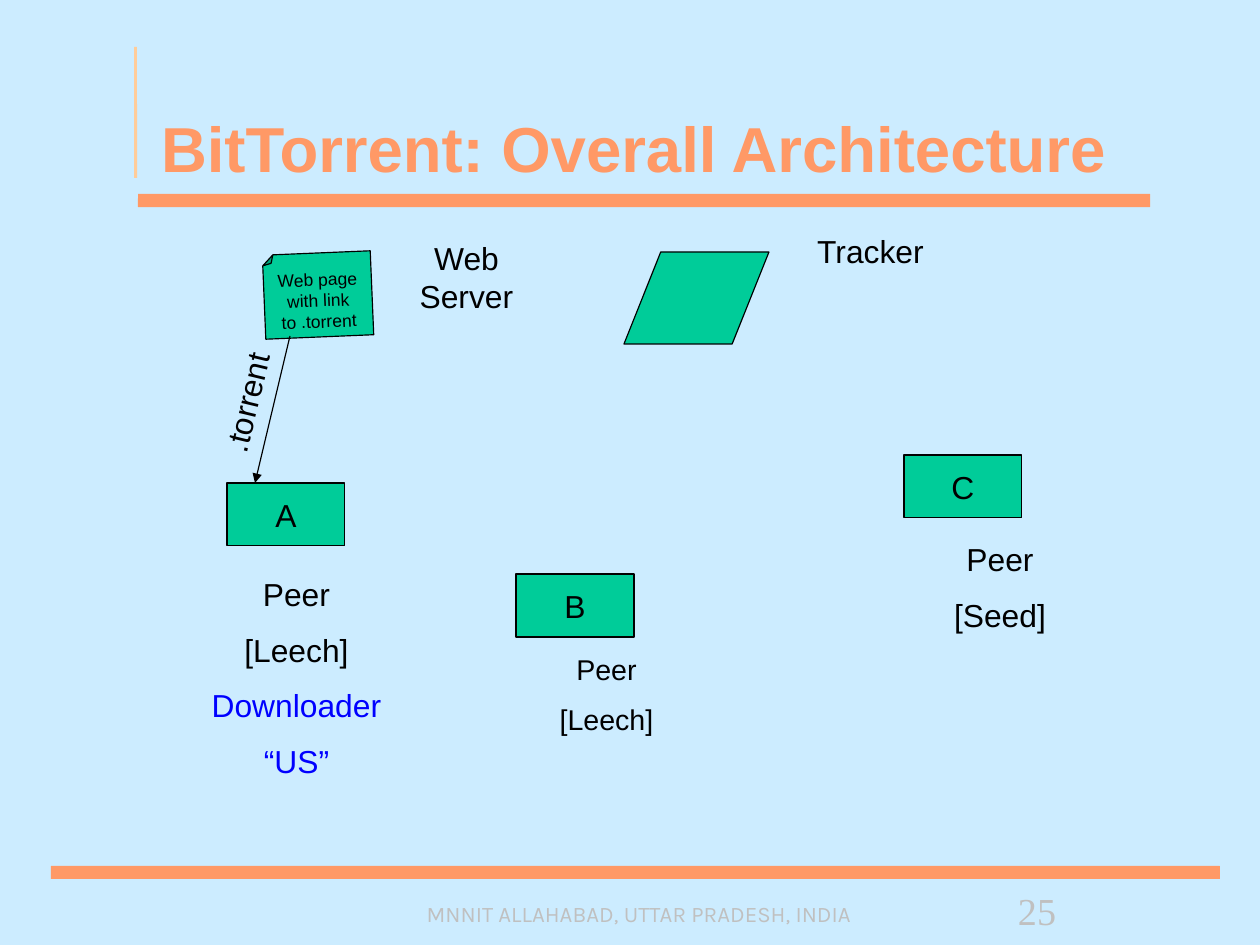
"""Build the BitTorrent overall architecture slide."""
from lxml import etree
from pptx import Presentation
from pptx import util as u
from pptx.dml.color import RGBColor
from pptx.enum import shapes, text
from pptx.oxml import ns

THEME = {
    "back": "CCECFF", "bar": "FF9966", "rule": "FFCC99", "node": "00CC99",
    "ink": "000000", "us": "0000FF", "muted": "C0C0C0",
    "font": "Arial", "footer_font": "Karla", "number_font": "Times New Roman",
    "title": 40, "label": 20, "small_label": 18, "page": 11, "footer": 14, "number": 24,
}
BARS = [
    ((51, 866, 1169, 13), "bar", 0.02),
    ((138, 194, 1012, 13), "bar", 0.02),
    ((134, 47, 3, 131), "rule", 0.05),
]
TITLE = ("BitTorrent: Overall Architecture", (161, 38, 1048, 151))
FOOTER = ("MNNIT ALLAHABAD, UTTAR PRADESH, INDIA", (135, 897, 1008, 36))
NUMBER = ("25", (1018, 889, 45, 45))
WEB_PAGE = (["Web page", "with link", "to .torrent"], (264, 253, 108, 84), 177.6)
TRACKER = (624, 252, 145, 92)
PEER_SIZE = (118, 63)
PEERS = [("A", (227, 483)), ("B", (516, 574)), ("C", (904, 455))]
LABELS = [
    ([("Peer", "ink"), ("[Leech]", "ink"), ("Downloader", "us"), ("“US”", "us")],
     (182, 568, 229, 222), "label", 0),
    ([("Peer", "ink"), ("[Seed]", "ink")], (913, 533, 174, 107), "label", 0),
    ([("Peer", "ink"), ("[Leech]", "ink")], (516, 645, 181, 98), "small_label", 0),
    ([("Tracker", "ink")], (778, 225, 185, 50), "label", 0),
    ([("Web Server", "ink")], (381, 232, 171, 89), "label", 0),
    ([(".torrent", "ink")], (165, 377, 160, 50), "label", 283.4),
]
DOWNLOAD = ((290, 336), (255, 483))
PX = 8000
INSET = (13, 7)
SPACE_RATIO = 0.55


def px(values):
    return [u.Emu(value * PX) for value in values]


def color(key):
    return RGBColor.from_string(THEME[key])


def write(shape, lines, size, font="font", align=text.PP_ALIGN.CENTER,
          anchor=text.MSO_ANCHOR.TOP, inset=INSET, wrap=True, gap=0, leading=None, bold=False):
    frame = shape.text_frame
    frame.word_wrap = wrap
    frame.vertical_anchor = anchor
    frame.margin_left, frame.margin_top = px(inset)
    frame.margin_right, frame.margin_bottom = px(inset)
    for index, (words, ink) in enumerate(lines):
        paragraph = frame.add_paragraph() if index else frame.paragraphs[0]
        paragraph.alignment = align
        if index and gap:
            paragraph.space_before = u.Pt(gap)
        if leading:
            paragraph.line_spacing = u.Pt(leading)
        run = paragraph.add_run()
        run.text = words
        run.font.name = THEME[font]
        run.font.size = u.Pt(THEME[size])
        run.font.bold = bold
        run.font.color.rgb = color(ink)


def draw(slide, kind, box, fill, outlined=True):
    shape = slide.shapes.add_shape(kind, *px(box))
    shape.shadow.inherit = False
    shape.fill.solid()
    shape.fill.fore_color.rgb = color(fill)
    if outlined:
        shape.line.color.rgb = color("ink")
        shape.line.width = u.Pt(0.75)
    else:
        shape.line.fill.background()
    return shape


def add_text(slide, box, lines, size, **options):
    label = slide.shapes.add_textbox(*px(box))
    write(label, lines, size, **options)
    return label


def add_arrow(slide, start, end):
    arrow = slide.shapes.add_connector(shapes.MSO_CONNECTOR.STRAIGHT, *px(start + end))
    arrow.line.color.rgb = color("ink")
    arrow.line.width = u.Pt(0.75)
    outline = arrow._element.spPr.find(ns.qn("a:ln"))
    etree.SubElement(outline, ns.qn("a:tailEnd"), type="triangle")
    etree.SubElement(arrow._element.spPr, ns.qn("a:effectLst"))


def main():
    deck = Presentation()
    deck.slide_width, deck.slide_height = px((1260, 945))
    slide = deck.slides.add_slide(deck.slide_layouts[6])
    slide.background.fill.solid()
    slide.background.fill.fore_color.rgb = color("back")
    middle, left = text.MSO_ANCHOR.MIDDLE, text.PP_ALIGN.LEFT

    for box, fill, radius in BARS:
        bar = draw(slide, shapes.MSO_SHAPE.ROUNDED_RECTANGLE, box, fill, outlined=False)
        bar.adjustments[0] = radius

    footer, box = FOOTER
    add_text(slide, box, [(footer, "muted")], "footer", font="footer_font",
             anchor=text.MSO_ANCHOR.BOTTOM, inset=(11, 6), leading=15.2)
    number, box = NUMBER
    add_text(slide, box, [(number, "muted")], "number", font="number_font",
             align=left, inset=(0, 0), wrap=False, leading=27.8)
    title, box = TITLE
    add_text(slide, box, [(title, "bar")], "title", align=left, anchor=middle,
             inset=(0, 0), leading=90, bold=True)

    lines, box, angle = WEB_PAGE
    web_page = draw(slide, shapes.MSO_SHAPE.FOLDED_CORNER, box, "node")
    fold = web_page._element.spPr.find(ns.qn("a:prstGeom"))
    fold.set("prst", "foldedCorner")
    for guides in fold.findall(ns.qn("a:avLst")):
        fold.remove(guides)
    guides = etree.SubElement(fold, ns.qn("a:avLst"))
    etree.SubElement(guides, ns.qn("a:gd"), name="adj", fmla="val 12500")
    web_page.rotation = angle
    write(web_page, [(line, "ink") for line in lines], "page", anchor=middle, wrap=False)
    web_page.text_frame._txBody.bodyPr.set("rot", str(180 * 60000))

    tracker = draw(slide, shapes.MSO_SHAPE.PARALLELOGRAM, TRACKER, "node")
    tracker.adjustments[0] = 0.4

    for letter, corner in PEERS:
        peer = draw(slide, shapes.MSO_SHAPE.RECTANGLE, corner + PEER_SIZE, "node")
        write(peer, [(letter, "ink")], "label", anchor=middle, wrap=False)

    for lines, box, size, angle in LABELS:
        label = add_text(slide, box, lines, size, gap=round(THEME[size] * SPACE_RATIO))
        label.rotation = angle

    add_arrow(slide, *DOWNLOAD)
    deck.save("out.pptx")


if __name__ == "__main__":
    main()
